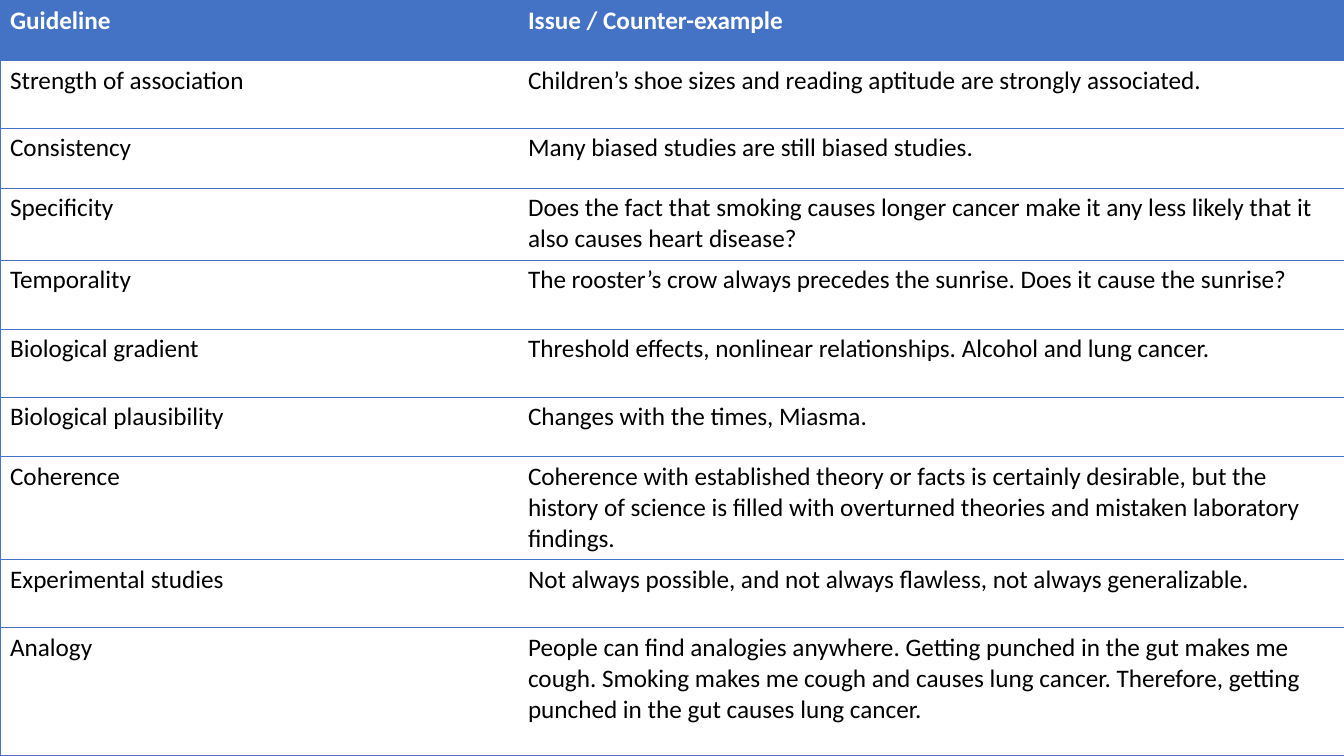
from lxml import etree
from pptx import Presentation
from pptx.dml.color import RGBColor
from pptx.oxml.ns import qn
from pptx.util import Emu, Pt

EMU_PER_PX = 914400 / 100.8
SLIDE_WIDTH, SLIDE_HEIGHT = 1344, 756
BLANK_LAYOUT = 6
COLORS = {"blue": "4472C4", "white": "FFFFFF", "black": "000000"}
COLUMN_WIDTHS = [518, 826]
HEADER_FORMAT = {"name": "Calibri", "size": Pt(18), "bold": True}
BODY_FORMAT = {"name": "Calibri", "size": Pt(18), "bold": False}

GUIDELINES = [
    (60, "Guideline", "Issue / Counter-example"),
    (68, "Strength of association",
     "Children’s shoe sizes and reading aptitude are strongly associated."),
    (60, "Consistency", "Many biased studies are still biased studies."),
    (72, "Specificity",
     "Does the fact that smoking causes longer cancer make it any less likely "
     "that it also causes heart disease?"),
    (69, "Temporality",
     "The rooster’s crow always precedes the sunrise. Does it cause the sunrise?"),
    (68, "Biological gradient",
     "Threshold effects, nonlinear relationships. Alcohol and lung cancer."),
    (60, "Biological plausibility", "Changes with the times, Miasma."),
    (103, "Coherence",
     "Coherence with established theory or facts is certainly desirable, but the "
     "history of science is filled with overturned theories and mistaken "
     "laboratory findings."),
    (68, "Experimental studies",
     "Not always possible, and not always flawless, not always generalizable."),
    (128, "Analogy",
     "People can find analogies anywhere. Getting punched in the gut makes me "
     "cough. Smoking makes me cough and causes lung cancer. Therefore, getting "
     "punched in the gut causes lung cancer."),
]


def px(length):
    return Emu(round(length * EMU_PER_PX))


def set_borders(cell, visible_sides):
    properties = cell._tc.get_or_add_tcPr()
    for position, side in enumerate("LRTB"):
        border = etree.Element(qn(f"a:ln{side}"), w=str(Pt(0.5)))
        if side in visible_sides:
            fill = etree.SubElement(border, qn("a:solidFill"))
            etree.SubElement(fill, qn("a:srgbClr"), val=COLORS["blue"])
        else:
            etree.SubElement(border, qn("a:noFill"))
        properties.insert(position, border)


def fill_cell(cell, wording, is_header, visible_sides):
    cell.text = wording
    font = cell.text_frame.paragraphs[0].runs[0].font
    for attribute, value in (HEADER_FORMAT if is_header else BODY_FORMAT).items():
        setattr(font, attribute, value)
    font.color.rgb = RGBColor.from_string(COLORS["white" if is_header else "black"])
    if is_header:
        cell.fill.solid()
        cell.fill.fore_color.rgb = RGBColor.from_string(COLORS["blue"])
    else:
        cell.fill.background()
    set_borders(cell, visible_sides)


def add_guideline_table(slide):
    table = slide.shapes.add_table(
        len(GUIDELINES), len(COLUMN_WIDTHS), 0, 0, px(SLIDE_WIDTH), px(SLIDE_HEIGHT)
    ).table
    table.horz_banding = False
    for column, width in zip(table.columns, COLUMN_WIDTHS):
        column.width = px(width)
    for row_index, (height, guideline, issue) in enumerate(GUIDELINES):
        row = table.rows[row_index]
        row.height = px(height)
        is_header = row_index == 0
        fill_cell(row.cells[0], guideline, is_header, "LTB")
        fill_cell(row.cells[1], issue, is_header, "RTB")


def main():
    presentation = Presentation()
    presentation.slide_width = px(SLIDE_WIDTH)
    presentation.slide_height = px(SLIDE_HEIGHT)
    slide = presentation.slides.add_slide(presentation.slide_layouts[BLANK_LAYOUT])
    add_guideline_table(slide)
    presentation.save("out.pptx")


if __name__ == "__main__":
    main()
